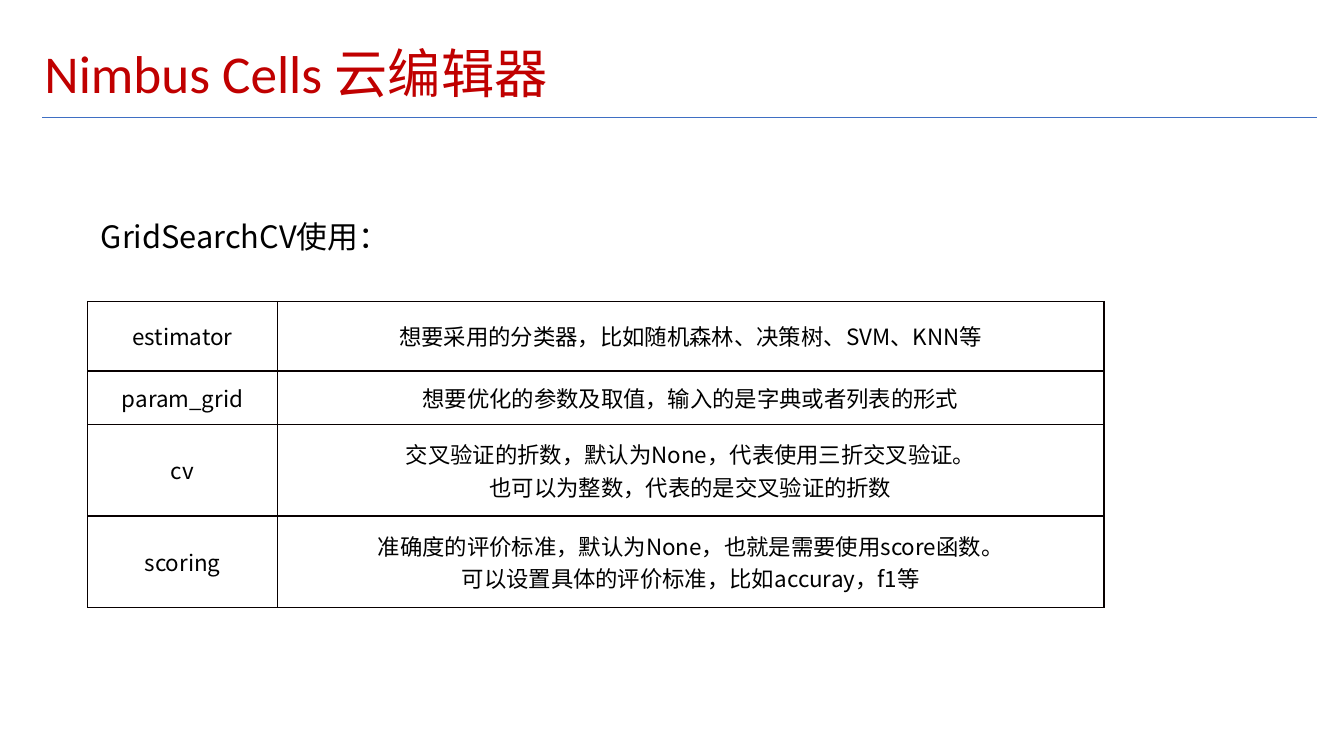
from lxml import etree
from pptx import Presentation, util as u
from pptx.dml.color import RGBColor
from pptx.enum import shapes, text
from pptx.oxml import ns

COLORS = {"title": "C00000", "rule": "3F6FC3", "ink": "000000", "border": "080000"}
LATIN, CJK = "Calibri", "Noto Sans CJK SC"

PARAMETERS = [
    ("estimator", ["想要采用的分类器，比如随机森林、决策树、SVM、KNN等"]),
    ("param_grid", ["想要优化的参数及取值，输入的是字典或者列表的形式"]),
    ("cv", ["交叉验证的折数，默认为None，代表使用三折交叉验证。",
            "也可以为整数，代表的是交叉验证的折数"]),
    ("scoring", ["准确度的评价标准，默认为None，也就是需要使用score函数。",
                 "可以设置具体的评价标准，比如accuray，f1等"]),
]
COLUMN_WIDTHS = [14.1, 61.52]
ROW_HEIGHTS = [9.2, 7.07, 12.13, 12.13]


def color(name):
    return RGBColor.from_string(COLORS[name])


class Page:
    """One title-only slide on a grid of 100 columns by 100 rows."""

    def __init__(self, prs):
        self.prs = prs
        self.s = prs.slides.add_slide(prs.slide_layouts[5])

    def x(self, columns):
        return round(self.prs.slide_width * columns / 100)

    def y(self, rows):
        return round(self.prs.slide_height * rows / 100)

    def box(self, left, top, width, height):
        return self.x(left), self.y(top), self.x(width), self.y(height)

    def frame(self, tf, inset):
        tf.word_wrap = True
        tf.auto_size = text.MSO_AUTO_SIZE.NONE
        tf.margin_left = tf.margin_right = u.Inches(inset)
        tf.margin_top = tf.margin_bottom = u.Inches(inset)

    def run(self, p, words, size, ink="ink", font=CJK):
        r = p.add_run()
        r.text = words
        r.font.size = u.Pt(size)
        r.font.name = font
        r.font.color.rgb = color(ink)
        east_asian = etree.Element(ns.qn("a:ea"), typeface=CJK)
        r.font._element.find(ns.qn("a:latin")).addnext(east_asian)

    def title(self, words, *place):
        sp = self.s.shapes.title
        sp.left, sp.top, sp.width, sp.height = self.box(*place)
        tf = sp.text_frame
        self.frame(tf, 0.05)
        tf.vertical_anchor = text.MSO_ANCHOR.MIDDLE
        p = tf.paragraphs[0]
        p.alignment = text.PP_ALIGN.LEFT
        p.line_spacing = 0.9
        self.run(p, words, 38, "title", LATIN)

    def rule(self, left, right, top):
        line = self.s.shapes.add_connector(
            shapes.MSO_CONNECTOR.STRAIGHT,
            self.x(left), self.y(top), self.x(right), self.y(top))
        line.line.color.rgb = color("rule")
        line.line.width = u.Pt(0.75)
        etree.SubElement(line._element.spPr, ns.qn("a:effectLst"))

    def heading(self, words, *place):
        tf = self.s.shapes.add_textbox(*self.box(*place)).text_frame
        self.frame(tf, 0.05)
        p = tf.paragraphs[0]
        p.alignment = text.PP_ALIGN.JUSTIFY
        p.line_spacing = 1.5
        self.run(p, words, 22)

    def borders(self, cell):
        tc_pr = cell._tc.get_or_add_tcPr()
        for index, side in enumerate(("lnL", "lnR", "lnT", "lnB")):
            ln = etree.Element(ns.qn("a:" + side), w=str(u.Pt(1)))
            fill = etree.SubElement(ln, ns.qn("a:solidFill"))
            etree.SubElement(fill, ns.qn("a:srgbClr"), val=COLORS["border"])
            tc_pr.insert(index, ln)

    def cell(self, cell, lines):
        cell.fill.background()
        self.borders(cell)
        cell.vertical_anchor = text.MSO_ANCHOR.MIDDLE
        cell.margin_left = cell.margin_right = u.Inches(0.01)
        cell.margin_top = cell.margin_bottom = 0
        tf = cell.text_frame
        for index, words in enumerate(lines):
            p = tf.add_paragraph() if index else tf.paragraphs[0]
            p.alignment = text.PP_ALIGN.CENTER
            self.run(p, words, 16)

    def table(self, rows, left, top, widths, heights):
        place = self.box(left, top, sum(widths), sum(heights))
        table = self.s.shapes.add_table(len(rows), len(widths), *place).table
        table.first_row = table.horz_banding = False
        for column, width in zip(table.columns, widths):
            column.width = self.x(width)
        for row, height, (name, meaning) in zip(table.rows, heights, rows):
            row.height = self.y(height)
            for cell, lines in zip(row.cells, ([name], meaning)):
                self.cell(cell, lines)


def main():
    prs = Presentation()
    prs.slide_width, prs.slide_height = u.Inches(13.33), u.Inches(7.5)
    page = Page(prs)
    page.rule(3.15, 97.97, 15.6)
    page.title("Nimbus Cells 云编辑器", 2.93, 5.33, 83.5, 9.47)
    page.heading("GridSearchCV使用：", 7.13, 25.73, 42.31, 12)
    page.table(PARAMETERS, 6.53, 39.87, COLUMN_WIDTHS, ROW_HEIGHTS)
    prs.save("out.pptx")


if __name__ == "__main__":
    main()
